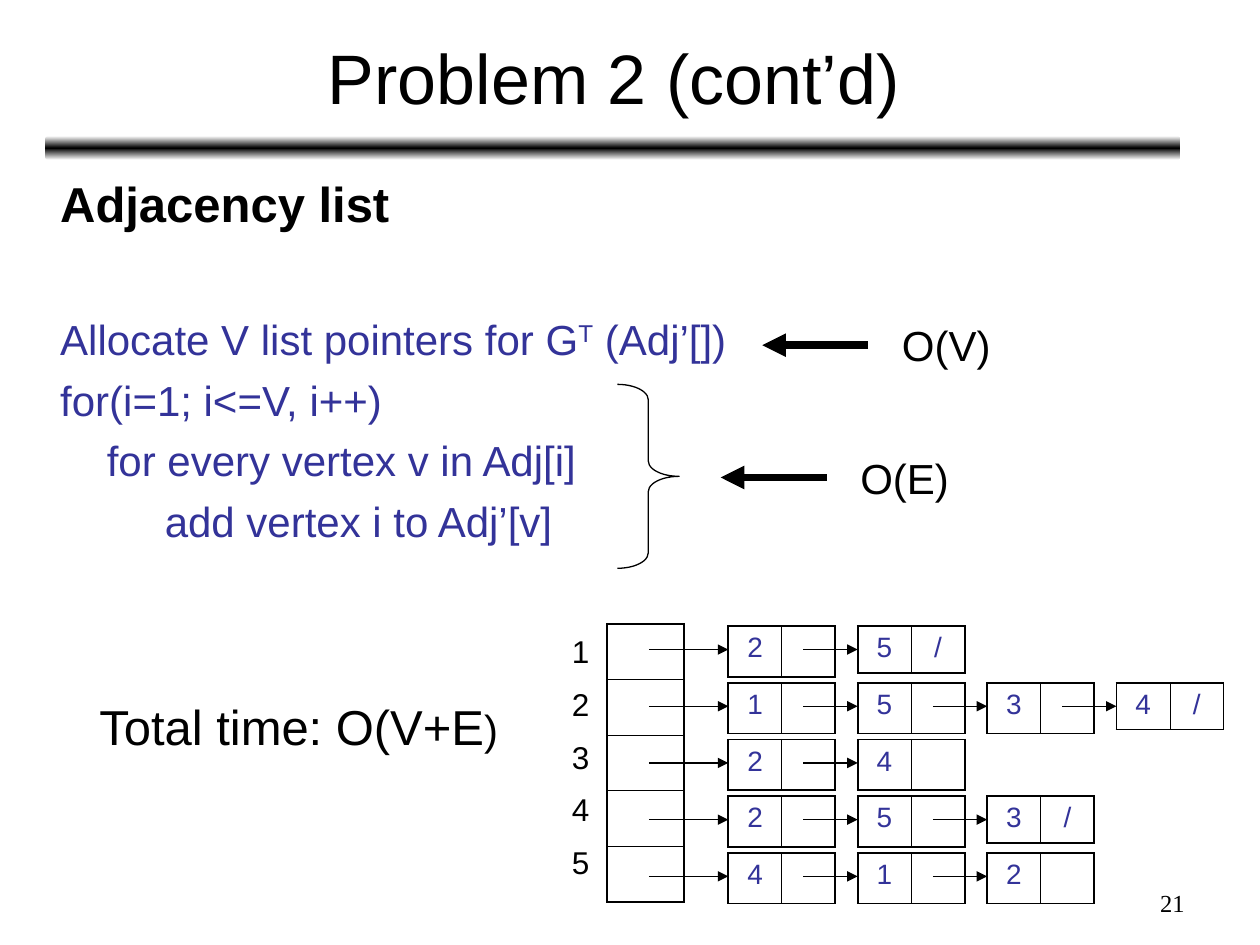
import copy
from dataclasses import dataclass

import pptx
import pptx.dml.color
import pptx.enum.shapes
import pptx.enum.text
import pptx.oxml.ns
import pptx.util
from lxml import etree

Pt = pptx.util.Pt
ALIGN = pptx.enum.text.PP_ALIGN
SHAPE = pptx.enum.shapes.MSO_SHAPE
qn = pptx.oxml.ns.qn


@dataclass(frozen=True)
class Theme:
    black: str = "000000"
    white: str = "FFFFFF"
    indigo: str = "333399"
    sans: str = "Arial"
    serif: str = "Times New Roman"
    title: int = 40
    heading: int = 28
    code: int = 24
    label: int = 18
    node: int = 16
    number: int = 14
    thin: float = 0.75
    thick: float = 4.5
    inner: float = 0.45
    outer: float = 1.08


T = Theme()


@dataclass(frozen=True)
class Box:
    """Place and size in percent of the slide."""
    x: float
    y: float
    w: float
    h: float


@dataclass(frozen=True)
class Run:
    text: str
    size: int
    color: str = T.black
    bold: bool = False
    raised: bool = False
    font: str = T.sans


@dataclass(frozen=True)
class Line:
    runs: tuple[Run, ...]
    before: float = 0
    indent: float = 0
    align: ALIGN = ALIGN.LEFT


@dataclass(frozen=True)
class Chain:
    vertices: str
    closed: bool


prs = pptx.Presentation()
prs.slide_width, prs.slide_height = pptx.util.Inches(10), pptx.util.Inches(7.5)
s = prs.slides.add_slide(prs.slide_layouts[6])


def px(share: float) -> int:
    return round(prs.slide_width * share / 100)


def py(share: float) -> int:
    return round(prs.slide_height * share / 100)


def place(b: Box) -> tuple[int, int, int, int]:
    return px(b.x), py(b.y), px(b.w), py(b.h)


def rgb(color: str) -> pptx.dml.color.RGBColor:
    return pptx.dml.color.RGBColor.from_string(color)


def fill_line(p, line: Line) -> None:
    p.alignment = line.align
    p.space_before = Pt(line.before)
    if line.indent:
        p._p.get_or_add_pPr().set("marL", str(px(line.indent)))
    for run in line.runs:
        r = p.add_run()
        r.text = run.text
        r.font.name, r.font.size, r.font.bold = run.font, Pt(run.size), run.bold
        r.font.color.rgb = rgb(run.color)
        if run.raised:
            r.font._element.set("baseline", "30000")


def add_text(b: Box, *lines: Line, wrap: bool = True, middle: bool = False) -> None:
    tf = s.shapes.add_textbox(*place(b)).text_frame
    tf.word_wrap = wrap
    if not wrap:
        tf.auto_size = pptx.enum.text.MSO_AUTO_SIZE.SHAPE_TO_FIT_TEXT
    if middle:
        tf.vertical_anchor = pptx.enum.text.MSO_ANCHOR.MIDDLE
    for i, line in enumerate(lines):
        fill_line(tf.add_paragraph() if i else tf.paragraphs[0], line)


def add_arrow(x1: float, x2: float, y: float, width: float) -> None:
    c = s.shapes.add_connector(pptx.enum.shapes.MSO_CONNECTOR.STRAIGHT,
                               px(x1), py(y), px(x2), py(y))
    c.line.width = Pt(width)
    c.line.color.rgb = rgb(T.black)
    etree.SubElement(c.line._get_or_add_ln(), qn("a:tailEnd"), type="triangle")
    etree.SubElement(c._element.spPr, qn("a:effectLst"))


def add_grid(b: Box, rows: list[list[str]]) -> None:
    n, m = len(rows), len(rows[0])
    table = s.shapes.add_table(n, m, *place(b)).table
    table.first_row = table.horz_banding = False
    for i, row in enumerate(rows):
        for j, text in enumerate(row):
            cell = table.cell(i, j)
            edges = {"L": j == 0, "R": j == m - 1, "T": i == 0, "B": i == n - 1}
            for side, outer in edges.items():
                ln = etree.SubElement(cell._tc.get_or_add_tcPr(), qn(f"a:ln{side}"),
                                      w=str(Pt(T.outer if outer else T.inner)))
                paint = etree.SubElement(ln, qn("a:solidFill"))
                etree.SubElement(paint, qn("a:srgbClr"), val=T.black)
            cell.fill.background()
            if text:
                fill_line(cell.text_frame.paragraphs[0],
                          Line((Run(text, T.node, T.indigo),), align=ALIGN.CENTER))


def add_rule(b: Box) -> None:
    sp = s.shapes.add_shape(SHAPE.ROUNDED_RECTANGLE, *place(b))
    sp.shadow.inherit = False
    sp.line.fill.background()
    sp.fill.gradient()
    sp.fill.gradient_angle = 90
    first, last = sp.fill.gradient_stops
    first.color.rgb, last.color.rgb = rgb(T.white), rgb(T.black)
    first.position, last.position = 0, 0.5
    stops = sp._element.spPr.find(f".//{qn('a:gsLst')}")
    end = copy.deepcopy(stops[0])
    end.set("pos", "100000")
    stops.append(end)


def add_brace(b: Box) -> None:
    sp = s.shapes.add_shape(SHAPE.RIGHT_BRACE, *place(b))
    sp.shadow.inherit = False
    sp.adjustments[0] = 0.25
    sp.fill.background()
    sp.line.color.rgb = rgb(T.black)
    sp.line.width = Pt(T.thin)


def code(text: str, indent: float = 0) -> Line:
    return Line((Run(text, T.code, T.indigo),), 6, indent)


# Title and rule
add_rule(Box(3.6, 14.4, 90.1, 2.53))
add_text(Box(3.7, 1.47, 90, 13.2),
         Line((Run("Problem 2 (cont’d)", T.title),), align=ALIGN.CENTER), middle=True)

# Algorithm
add_text(Box(3.8, 17.73, 90, 74),
         Line((Run("Adjacency list", T.heading, bold=True),)),
         Line((Run("Allocate V list pointers for G", T.code, T.indigo),
               Run("T", T.code, T.indigo, raised=True),
               Run(" (Adj’[])", T.code, T.indigo)), 46),
         code("for(i=1; i<=V, i++)"),
         code("for every vertex v in Adj[i]", 3.7),
         code("add vertex i to Adj’[v]", 8.3))

# Costs
add_brace(Box(49, 40.67, 4.9, 19.47))
for cost, tip, y in (("O(V)", 60.5, 36.53), ("O(E)", 57.2, 50.53)):
    add_arrow(tip + 8.4, tip, y, T.thick)
    add_text(Box(tip + 10.1, y - 3.33, 9.6, 6.67), Line((Run(cost, T.code),)), wrap=False)
add_text(Box(6.9, 73.07, 34.1, 7.6),
         Line((Run("Total time: O(V+E", T.heading), Run(")", T.code))), wrap=False)

# Adjacency lists: one row per vertex, one column per list node
CHAINS = (Chain("25", True), Chain("1534", True), Chain("24", False),
          Chain("253", True), Chain("412", False))
LEFT, TOP, COL, ROW = 57.8, 66.27, 10.27, 6.0
NODE_W, NODE_H = 8.5, 4.93
add_grid(Box(48.2, 66, 6.1, 29.47), [[""] for _ in CHAINS])
for i, chain in enumerate(CHAINS):
    y = TOP + i * ROW
    add_text(Box(44.4, TOP + i * 5.57, 3.4, 5.33),
             Line((Run(str(i + 1), T.label),)), wrap=False)
    for j, vertex in enumerate(chain.vertices):
        x = LEFT + j * COL
        is_end = chain.closed and j == len(chain.vertices) - 1
        add_grid(Box(x, y, NODE_W, NODE_H), [[vertex, "/" if is_end else ""]])
        add_arrow(x - (4.3 if j else 6.3), x, y + NODE_H / 2, T.thin)

# Slide number
add_text(Box(71.7, 93.33, 23.3, 4.67),
         Line((Run("21", T.number, font=T.serif),), align=ALIGN.RIGHT))

prs.save("out.pptx")
